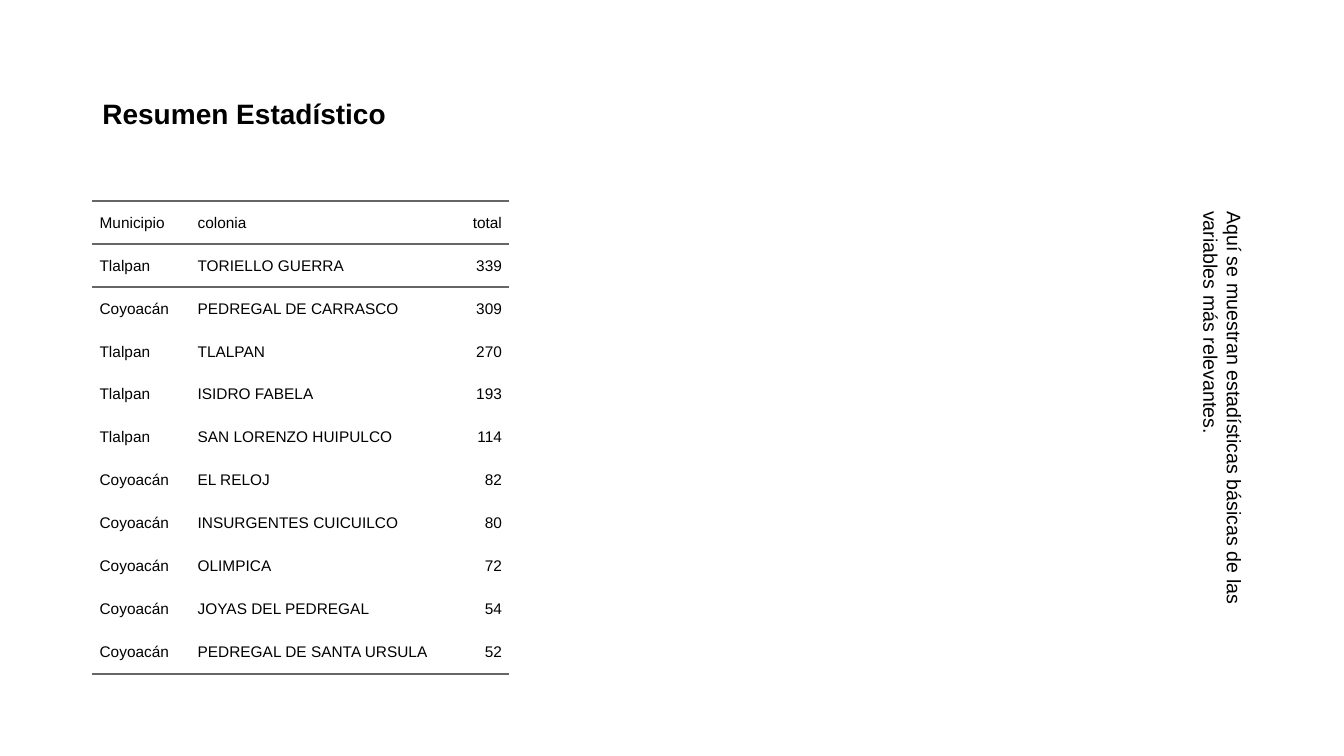
from dataclasses import dataclass

from lxml import etree
from pptx import Presentation
from pptx.dml.color import RGBColor
from pptx.enum.text import MSO_ANCHOR, PP_ALIGN
from pptx.oxml.ns import qn
from pptx.util import Cm, Pt

MIDDLE = MSO_ANCHOR.MIDDLE
LEFT = PP_ALIGN.LEFT
RIGHT = PP_ALIGN.RIGHT
NO_GRID_STYLE = "{2D5ABB26-0587-4C30-8999-92F81FD0307C}"


@dataclass(frozen=True)
class Theme:
    """Colours, type sizes and line widths of the slide."""

    font: str = "Arial"
    text: RGBColor = RGBColor(0, 0, 0)
    rule: str = "666666"
    rule_width: Pt = Pt(1.5)
    title_size: Pt = Pt(20)
    body_size: Pt = Pt(14)
    table_size: Pt = Pt(11)


THEME = Theme()
HEADER = ("Municipio", "colonia", "total")
COLONIAS = [
    ("Tlalpan", "TORIELLO GUERRA", 339),
    ("Coyoacán", "PEDREGAL DE CARRASCO", 309),
    ("Tlalpan", "TLALPAN", 270),
    ("Tlalpan", "ISIDRO FABELA", 193),
    ("Tlalpan", "SAN LORENZO HUIPULCO", 114),
    ("Coyoacán", "EL RELOJ", 82),
    ("Coyoacán", "INSURGENTES CUICUILCO", 80),
    ("Coyoacán", "OLIMPICA", 72),
    ("Coyoacán", "JOYAS DEL PEDREGAL", 54),
    ("Coyoacán", "PEDREGAL DE SANTA URSULA", 52),
]
COLUMN_WIDTHS = (Cm(2.47), Cm(6.58), Cm(1.45))
CELL_MARGIN = Cm(0.18)


def write_text(text_frame, text, size, bold=False, alignment=LEFT):
    """Write one paragraph in the theme font."""
    paragraph = text_frame.paragraphs[0]
    paragraph.text = text
    paragraph.alignment = alignment
    paragraph.font.name = THEME.font
    paragraph.font.size = size
    paragraph.font.bold = bold
    paragraph.font.color.rgb = THEME.text


def add_title(slide, left, top, width, height):
    """Place the slide title, centred vertically in its box."""
    text_frame = slide.shapes.add_textbox(left, top, width, height).text_frame
    text_frame.word_wrap = True
    text_frame.vertical_anchor = MIDDLE
    write_text(text_frame, "Resumen Estadístico", THEME.title_size, bold=True)


def add_vertical_note(slide, left, top, width, height):
    """Place the note that runs downwards along the right edge of its box."""
    text_frame = slide.shapes.add_textbox(left, top, width, height).text_frame
    text_frame.word_wrap = True
    text_frame._txBody.bodyPr.set("vert", "eaVert")
    note = "Aquí se muestran estadísticas básicas de las variables más relevantes."
    write_text(text_frame, note, THEME.body_size)


def add_rules(cell, sides):
    """Draw the given horizontal borders of a cell."""
    properties = cell._tc.get_or_add_tcPr()
    for position, side in enumerate(sides):
        line = etree.Element(qn(f"a:{side}"), w=str(THEME.rule_width))
        fill = etree.SubElement(line, qn("a:solidFill"))
        etree.SubElement(fill, qn("a:srgbClr"), val=THEME.rule)
        properties.insert(position, line)


def add_colonia_table(slide, left, top, height):
    """Place the table of totals by colonia with equal row heights."""
    rows = [HEADER, *COLONIAS]
    frame = slide.shapes.add_table(
        len(rows), len(HEADER), left, top, sum(COLUMN_WIDTHS), height
    )
    table = frame.table
    table.first_row = False
    table.horz_banding = False
    table._tbl.tblPr.find(qn("a:tableStyleId")).text = NO_GRID_STYLE
    for column, width in zip(table.columns, COLUMN_WIDTHS):
        column.width = width
    rules = {0: ("lnT", "lnB"), 1: ("lnT",), len(rows) - 1: ("lnB",)}
    for row_index, values in enumerate(rows):
        for column_index, value in enumerate(values):
            cell = table.cell(row_index, column_index)
            cell.margin_left = cell.margin_right = CELL_MARGIN
            cell.margin_top = cell.margin_bottom = CELL_MARGIN
            cell.vertical_anchor = MIDDLE
            cell.fill.background()
            alignment = RIGHT if column_index == len(HEADER) - 1 else LEFT
            write_text(
                cell.text_frame, str(value), THEME.table_size, alignment=alignment
            )
            add_rules(cell, rules.get(row_index, ()))


def build_summary_slide(presentation):
    """Lay out the title, the note and the table on a blank slide."""
    slide = presentation.slides.add_slide(presentation.slide_layouts[6])
    left, width = Cm(2.33), Cm(29.21)
    body_top = Cm(5.07)
    add_title(slide, left, Cm(1.01), width, Cm(3.68))
    add_vertical_note(slide, left, body_top, width, Cm(12.09))
    add_colonia_table(slide, left, body_top, Cm(11.92))


def main():
    """Build and save the presentation."""
    presentation = Presentation()
    presentation.slide_width = Cm(33.87)
    presentation.slide_height = Cm(19.05)
    build_summary_slide(presentation)
    presentation.save("out.pptx")


if __name__ == "__main__":
    main()
